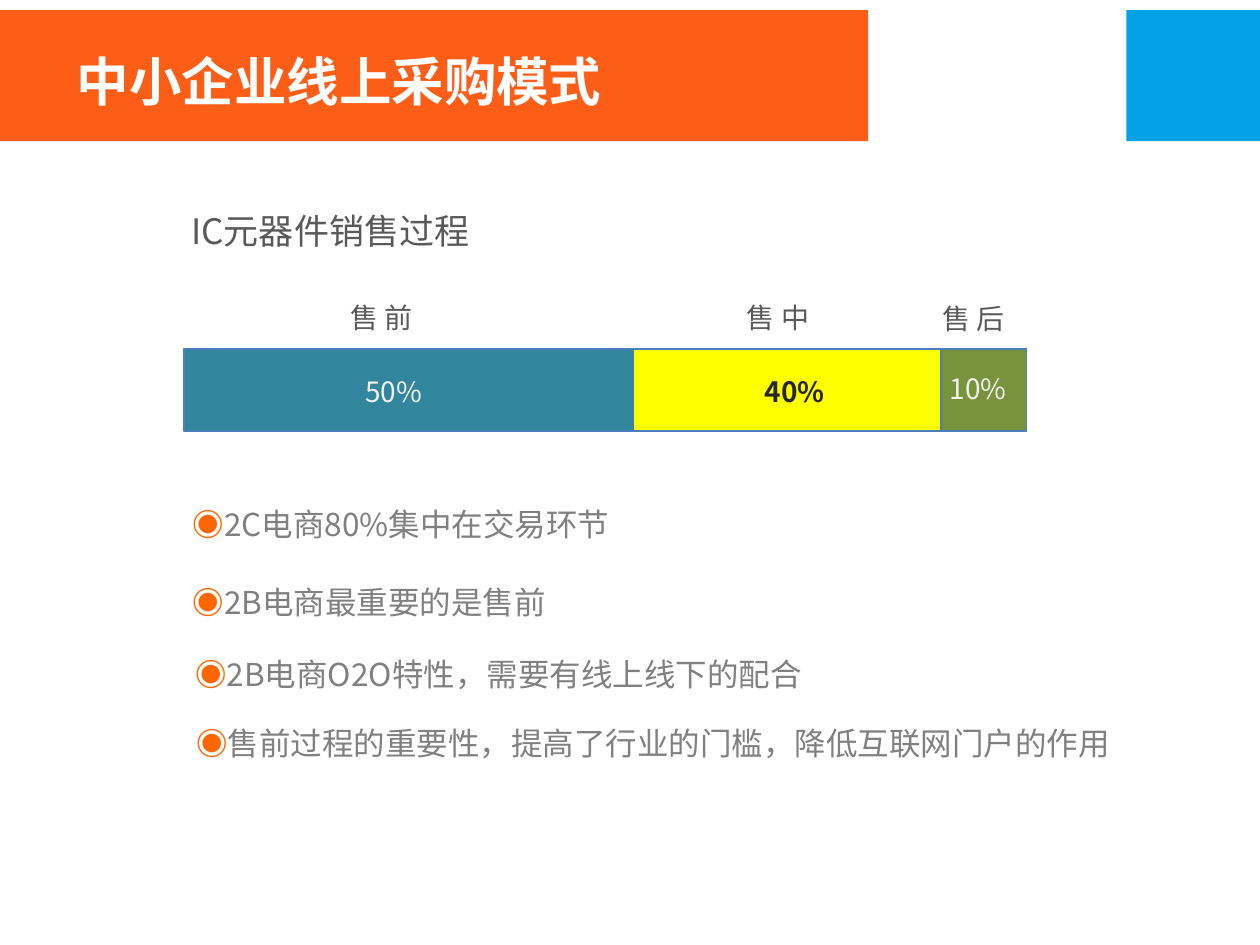
import pptx
import pptx.util
import pptx.dml.color
import pptx.enum.shapes
import pptx.enum.text
import pptx.oxml.ns
import lxml.etree

FACE = "Noto Sans CJK SC"
WIDE, HIGH = 10, 7.5
TITLE = "中小企业线上采购模式"
HEAD = "IC元器件销售过程"
BANDS = [(8.94, 1.06, "03A1E8"), (0, 6.89, "FC5E17")]
STAGES = [
    dict(name="售 前", share="50%", wide=3.57, fill="31859C", ink="F2F2F2",
         bold=False, label=(2.68, 2.28), value=(2.8, 2.87)),
    dict(name="售 中", share="40%", wide=2.44, fill="FFFF00", ink="262626",
         bold=True, label=(5.83, 2.28), value=(5.97, 2.87)),
    dict(name="售 后", share="10%", wide=0.68, fill="77933C", ink="F2F2F2",
         bold=False, label=(7.38, 2.29), value=(7.44, 2.85)),
]
POINTS = [
    (1.43, 3.9, 4.56, "2C电商80%集中在交易环节"),
    (1.43, 4.52, 4.56, "2B电商最重要的是售前"),
    (1.45, 5.09, 6.69, "2B电商O2O特性，需要有线上线下的配合"),
    (1.46, 5.64, 7.72, "售前过程的重要性，提高了行业的门槛，降低互联网门户的作用"),
]

deck = pptx.Presentation()
deck.slide_width = pptx.util.Inches(WIDE)
deck.slide_height = pptx.util.Inches(HIGH)
slide = deck.slides.add_slide(deck.slide_layouts[6])


def paint(code):
    return pptx.dml.color.RGBColor.from_string(code)


def place(*box):
    return [pptx.util.Inches(n) for n in box]


def block(box, fill, line=None):
    shape = slide.shapes.add_shape(
        pptx.enum.shapes.MSO_SHAPE.RECTANGLE, *place(*box))
    shape.shadow.inherit = False
    shape.fill.solid()
    shape.fill.fore_color.rgb = paint(fill)
    if line:
        shape.line.color.rgb = paint(line)
        shape.line.width = pptx.util.Pt(0.75)
    else:
        shape.line.fill.background()


def write(box, size, runs, space=1.2):
    frame = slide.shapes.add_textbox(*place(*box)).text_frame
    frame.word_wrap = True
    frame.auto_size = pptx.enum.text.MSO_AUTO_SIZE.SHAPE_TO_FIT_TEXT
    para = frame.paragraphs[0]
    para.line_spacing = space
    for text, ink, bold in runs:
        run = para.add_run()
        run.text = text
        font = run.font
        font.name, font.size, font.bold = FACE, pptx.util.Pt(size), bold
        font.color.rgb = paint(ink)
        east = lxml.etree.SubElement(
            run._r.get_or_add_rPr(), pptx.oxml.ns.qn("a:ea"))
        east.set("typeface", FACE)


for left, wide, fill in BANDS:
    block((left, 0.08, wide, 1.04), fill)
write((0.51, 0.34, 4.88, 0.61), 30, [(TITLE, "FFFFFF", True)], 1)
write((1.42, 1.55, 4.02, 0.49), 20, [(HEAD, "595959", False)])

left = 1.46
for stage in STAGES:
    block((left, 2.77, stage["wide"], 0.65), stage["fill"], "4B7EBC")
    left += stage["wide"]

for stage in STAGES:
    write((*stage["value"], 1.02, 0.42), 16,
          [(stage["share"], stage["ink"], stage["bold"])])
    write((*stage["label"], 1.02, 0.42), 16,
          [(stage["name"], "595959", False)])

for left, top, wide, text in POINTS:
    write((left, top, wide, 0.45), 18,
          [("◉", "FF6600", True), (text, "808080", False)])

deck.save("out.pptx")
